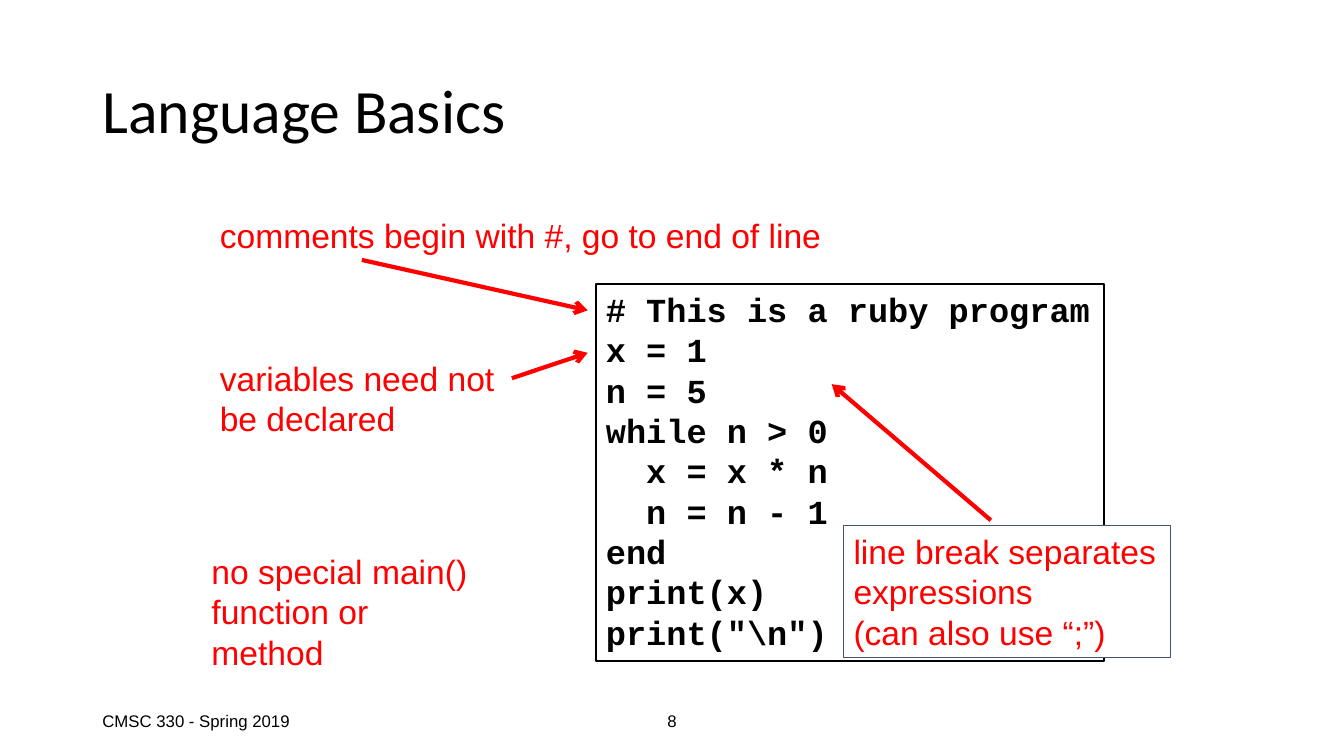
from lxml import etree
from pptx import Presentation
from pptx import util as u
from pptx.dml.color import RGBColor
from pptx.enum import shapes, text
from pptx.oxml.ns import qn


def colour(target, value):
    if hasattr(target, "solid"):
        target.solid()
        target = target.fore_color
    target.rgb = RGBColor.from_string(value)


def write(box, lines, font, size, value, bold=False):
    frame = box.text_frame
    frame.word_wrap = True
    frame.text = "\n".join(lines)
    for para in frame.paragraphs:
        para.alignment = text.PP_ALIGN.LEFT
        para.font.name = font
        para.font.size = u.Pt(size)
        para.font.bold = bold
        colour(para.font.color, value)
    return frame


BLACK, RED, WHITE, SLATE = "000000", "FF0000", "FFFFFF", "44546A"

deck = Presentation()
deck.slide_width, deck.slide_height = u.Cm(33.87), u.Cm(19.05)
page = deck.slides.add_slide(deck.slide_layouts[5])

title = page.shapes.title
title.left, title.top = u.Cm(2.33), u.Cm(1.01)
title.width, title.height = u.Cm(29.21), u.Cm(3.68)
title_frame = write(title, ["Language Basics"], "Calibri", 44, BLACK)
title_frame.vertical_anchor = text.MSO_ANCHOR.MIDDLE
title_frame.paragraphs[0].line_spacing = 0.9

program = ["# This is a ruby program", "x = 1", "n = 5", "while n > 0",
           "  x = x * n", "  n = n - 1", "end", "print(x)", 'print("\\n")']
comments = ["comments begin with #, go to end of line"]
variables = ["variables need not", "be declared"]
line_break = ["line break separates", "expressions", "(can also use “;”)"]
no_main = ["no special main()", "function or", "method"]

blocks = [
    (program, 15.02, 7.16, 12.8, 9.5, "Courier New", BLACK, None, (BLACK, 1)),
    (comments, 5.29, 5.29, 15.82, 1.27, "Arial", RED, None, None),
    (variables, 5.29, 8.89, 7.52, 2.31, "Arial", RED, None, None),
    (line_break, 21.26, 13.25, 8.23, 3.33, "Arial", RED, WHITE, (SLATE, 0.75)),
    (no_main, 5.08, 13.76, 7.04, 3.33, "Arial", RED, None, None),
]
for lines, left, top, width, height, font, ink, fill, border in blocks:
    area = [u.Cm(n) for n in (left, top, width, height)]
    if border:
        box = page.shapes.add_shape(shapes.MSO_SHAPE.RECTANGLE, *area)
        box.shadow.inherit = False
        colour(box.line.fill, border[0])
        box.line.width = u.Pt(border[1])
        if fill:
            colour(box.fill, fill)
        else:
            box.fill.background()
    else:
        box = page.shapes.add_textbox(*area)
    frame = write(box, lines, font, 24, ink, bold=lines is program)
    frame.margin_right = 0
    frame.vertical_anchor = text.MSO_ANCHOR.TOP
    for para in frame.paragraphs:
        para.line_spacing = u.Pt(28.8)

arrows = [
    (9.12, 6.55, 14.81, 7.82),
    (12.9, 9.53, 14.81, 8.89),
    (24.97, 13.11, 20.96, 9.68),
]
for ends in arrows:
    arrow = page.shapes.add_connector(
        shapes.MSO_CONNECTOR.STRAIGHT, *[u.Cm(n) for n in ends])
    colour(arrow.line.fill, RED)
    arrow.line.width = u.Pt(3)
    properties = arrow._element.spPr
    etree.SubElement(properties.find(qn("a:ln")), qn("a:tailEnd"), type="arrow")
    etree.SubElement(properties, qn("a:effectLst"))

footers = [
    ("CMSC 330 - Spring 2019", 2.33, 7.62, text.PP_ALIGN.LEFT),
    ("8", 11.22, 11.43, text.PP_ALIGN.CENTER),
]
for words, left, width, align in footers:
    footer = page.shapes.add_textbox(u.Cm(left), u.Cm(17.66), u.Cm(width), u.Cm(1.01))
    footer_frame = write(footer, [words], "Arial", 12, BLACK)
    footer_frame.vertical_anchor = text.MSO_ANCHOR.MIDDLE
    footer_frame.paragraphs[0].alignment = align

deck.save("out.pptx")
